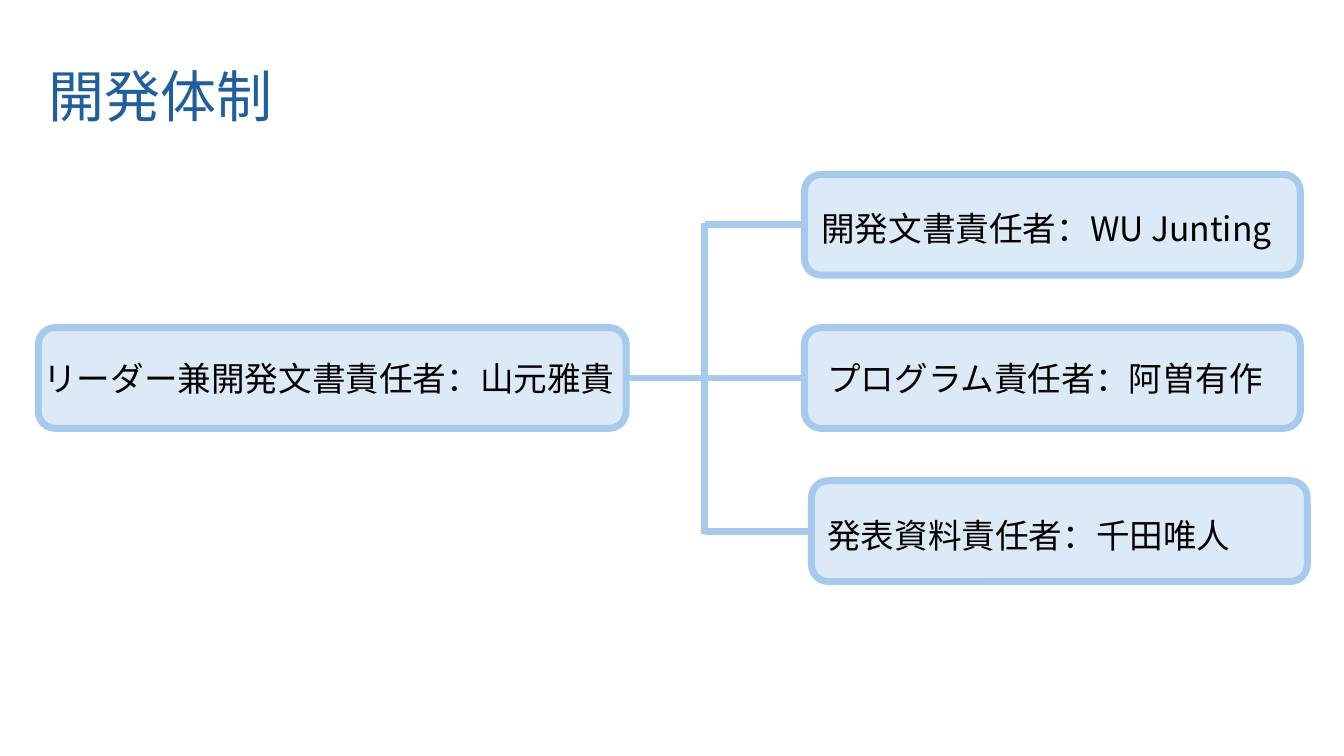
from lxml import etree
from pptx import Presentation
from pptx import util as u
from pptx.dml.color import RGBColor
from pptx.enum import shapes, text
from pptx.oxml.ns import qn

HUES = {"title": "215F9A", "text": "000000", "fill": "DCEAF7", "line": "A6CAEC"}
FACE = "Noto Sans CJK JP"
LEFT, RIGHT = 1, 3


class Chart:
    """Style and current slide of the team chart."""

    def __init__(self, slide):
        self.slide = slide
        self.hues = {k: RGBColor.from_string(v) for k, v in HUES.items()}

    def style(self, para, size, hue):
        font = para.font
        font.size = u.Pt(size)
        font.name = FACE
        font.color.rgb = self.hues[hue]
        # East Asian face, which has no public setter
        props = para._p.find(qn("a:pPr")).find(qn("a:defRPr"))
        etree.SubElement(props, qn("a:ea")).set("typeface", FACE)

    def title(self, words, x, y, w, h):
        head = self.slide.shapes.title
        head.left, head.top, head.width, head.height = map(u.Pt, (x, y, w, h))
        frame = head.text_frame
        frame.text = words
        frame.vertical_anchor = text.MSO_ANCHOR.MIDDLE
        para = frame.paragraphs[0]
        para.alignment = text.PP_ALIGN.LEFT
        para.line_spacing = 0.9
        self.style(para, 40, "title")

    def box(self, x, y, w, h):
        kind = shapes.MSO_SHAPE.ROUNDED_RECTANGLE
        box = self.slide.shapes.add_shape(kind, *map(u.Pt, (x, y, w, h)))
        box.shadow.inherit = False
        box.fill.solid()
        box.fill.fore_color.rgb = self.hues["fill"]
        self.stroke(box.line)
        return box

    def label(self, words, x, y, w, h=36):
        frame = self.slide.shapes.add_textbox(*map(u.Pt, (x, y, w, h))).text_frame
        frame.word_wrap = True
        frame.auto_size = text.MSO_AUTO_SIZE.SHAPE_TO_FIT_TEXT
        frame.text = words
        self.style(frame.paragraphs[0], 24, "text")

    def stroke(self, line):
        line.color.rgb = self.hues["line"]
        line.width = u.Pt(5)

    def link(self, x1, y1, x2, y2, start=None, end=None):
        kind = shapes.MSO_CONNECTOR.STRAIGHT
        link = self.slide.shapes.add_connector(kind, *map(u.Pt, (x1, y1, x2, y2)))
        if start is not None:
            link.begin_connect(start, RIGHT)
        if end is not None:
            link.end_connect(end, LEFT)
        self.stroke(link.line)
        etree.SubElement(link._element.spPr, qn("a:effectLst"))


def main():
    deck = Presentation()
    deck.slide_width, deck.slide_height = u.Pt(960), u.Pt(540)
    chart = Chart(deck.slides.add_slide(deck.slide_layouts[5]))
    chart.title("開発体制", 27.4, 41, 213, 60.5)

    # Boxes: the leader, then three roles at an equal step
    high, top, step = 72, 124.6, 109.4
    mid = top + step
    lead = chart.box(27.4, mid, 419.8, high)
    roles = [  # words, box left, label left, label drop, label width
        ("開発文書責任者：WU Junting", 574.6, 579.6, 20.2, 343.4),
        ("プログラム責任者：阿曽有作", 574.6, 583.9, 18, 339.1),
        ("発表資料責任者：千田唯人", 579.6, 583.9, 20.9, 339.1),
    ]
    tops = [top + step * i for i in range(len(roles))]
    boxes = [chart.box(role[1], y, 354.2, high) for role, y in zip(roles, tops)]

    # Labels
    chart.label("リーダー兼開発文書責任者：山元雅貴", 23.8, mid + 18, 423.4)
    for (words, _, x, drop, wide), y in zip(roles, tops):
        chart.label(words, x, y + drop, wide)

    # Trunk and branches
    trunk = 503.3
    chart.link(trunk, 159.1, trunk, 381.6)
    for (_, x, *_), y, box in zip(roles, tops, boxes):
        axis = y + high / 2
        start = lead if y == mid else None
        chart.link(trunk, axis, x, axis, start, box)

    deck.save("out.pptx")


if __name__ == "__main__":
    main()
